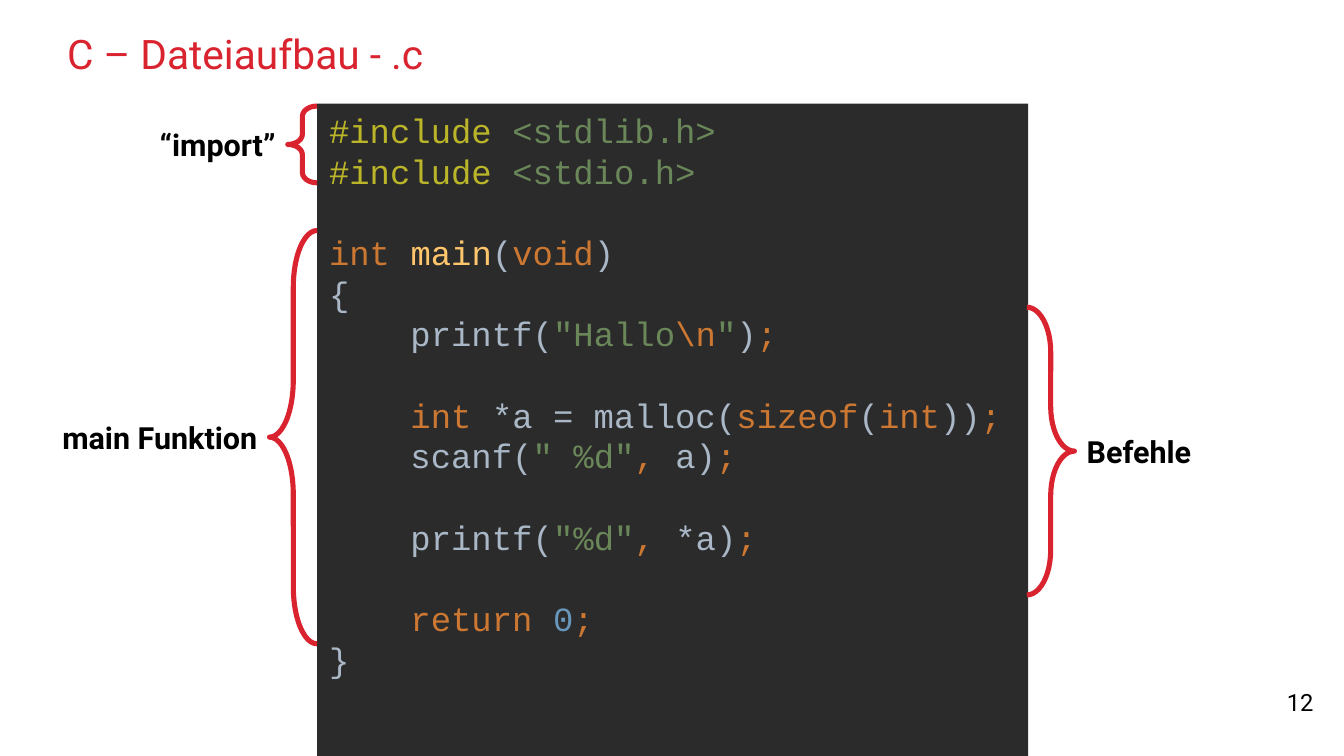
"""Build the slide on the structure of a C source file."""
from lxml.etree import SubElement
from pptx import Presentation
from pptx.dml.color import RGBColor
from pptx.enum.shapes import MSO_SHAPE
from pptx.enum.text import MSO_ANCHOR, PP_ALIGN
from pptx.oxml.ns import qn
from pptx.util import Inches, Pt

RED = RGBColor(0xD9, 0x23, 0x2F)
BLACK = RGBColor(0x00, 0x00, 0x00)
EDITOR = RGBColor(0x2B, 0x2B, 0x2B)
DIRECTIVE = RGBColor(0xBB, 0xB5, 0x29)
STRING = RGBColor(0x6A, 0x87, 0x59)
KEYWORD = RGBColor(0xCC, 0x78, 0x32)
FUNCTION = RGBColor(0xFF, 0xC6, 0x6D)
PLAIN = RGBColor(0xA9, 0xB7, 0xC6)
NUMBER = RGBColor(0x68, 0x97, 0xBB)


def add_run(paragraph, text, size, color, font="Roboto", bold=False):
    run = paragraph.add_run()
    run.text = text
    run.font.color.rgb = color
    for name, value in {"name": font, "size": Pt(size), "bold": bold}.items():
        setattr(run.font, name, value)


def add_label(text, left, top, width, height, size, color, align, bold=False):
    frame = slide.shapes.add_textbox(
        Inches(left), Inches(top), Inches(width), Inches(height)).text_frame
    layout = {"word_wrap": True, "vertical_anchor": MSO_ANCHOR.MIDDLE, "margin_left": 0,
              "margin_right": 0, "margin_top": 0, "margin_bottom": 0}
    for name, value in layout.items():
        setattr(frame, name, value)
    frame.paragraphs[0].alignment = align
    add_run(frame.paragraphs[0], text, size, color, bold=bold)


presentation = Presentation()
presentation.slide_width = Inches(11.02)
presentation.slide_height = Inches(6.2)
slide = presentation.slides.add_slide(presentation.slide_layouts[6])

add_label("12", 9.37, 5.61, 1.4, 0.29, 14, BLACK, PP_ALIGN.RIGHT)
add_label("C – Dateiaufbau - .c", 0.55, 0.25, 9.92, 0.38, 24, RED, PP_ALIGN.LEFT)

code_lines = [
    [("#include ", DIRECTIVE), ("<stdlib.h>", STRING)],
    [("#include ", DIRECTIVE), ("<stdio.h>", STRING)],
    [],
    [("int ", KEYWORD), ("main", FUNCTION), ("(", PLAIN), ("void", KEYWORD), (")", PLAIN)],
    [("{", PLAIN)],
    [("    printf(", PLAIN), ("\"Hallo", STRING), ("\\n", KEYWORD), ("\"", STRING),
     (")", PLAIN), (";", KEYWORD)],
    [],
    [("    int ", KEYWORD), ("*a = malloc(", PLAIN), ("sizeof", KEYWORD), ("(", PLAIN),
     ("int", KEYWORD), ("))", PLAIN), (";", KEYWORD)],
    [("    scanf(", PLAIN), ("\" %d\"", STRING), (", ", KEYWORD), ("a)", PLAIN), (";", KEYWORD)],
    [],
    [("    printf(", PLAIN), ("\"%d\"", STRING), (", ", KEYWORD), ("*a)", PLAIN), (";", KEYWORD)],
    [],
    [("    return ", KEYWORD), ("0", NUMBER), (";", KEYWORD)],
    [("}", PLAIN)],
]
editor = slide.shapes.add_shape(
    MSO_SHAPE.RECTANGLE, Inches(2.6), Inches(0.85), Inches(5.83), Inches(5.42))
editor.shadow.inherit = False
editor.fill.solid()
editor.fill.fore_color.rgb = EDITOR
editor.line.fill.background()
editor.text_frame.word_wrap = True
editor.text_frame.vertical_anchor = MSO_ANCHOR.TOP
code = editor.text_frame.paragraphs[0]
code.alignment = PP_ALIGN.LEFT
code.line_spacing = Pt(24)
for index, tokens in enumerate(code_lines):
    if index:
        code.add_line_break()
    for text, color in tokens:
        add_run(code, text, 20, color, "Courier New")
for line_break in code._p.findall(qn("a:br")):
    SubElement(line_break, qn("a:rPr"), sz="2000")

braces = [
    ("“import”", MSO_SHAPE.LEFT_BRACE, 2.36, 0.87, 0.24, 0.63, 0.35),
    ("Befehle", MSO_SHAPE.RIGHT_BRACE, 8.42, 2.52, 0.39, 2.36, 0.94),
    ("main Funktion", MSO_SHAPE.LEFT_BRACE, 2.21, 1.89, 0.39, 3.39, 1.2),
]
label_width, label_height, gap = 1.8, 0.4, 0.1
for text, kind, left, top, width, height, curve in braces:
    brace = slide.shapes.add_shape(kind, Inches(left), Inches(top), Inches(width), Inches(height))
    brace.shadow.inherit = False
    brace.adjustments[0] = curve
    brace.fill.background()
    brace.line.color.rgb = RED
    brace.line.width = Pt(3)
    if kind == MSO_SHAPE.LEFT_BRACE:
        label_left, align = left - gap - label_width, PP_ALIGN.RIGHT
    else:
        label_left, align = left + width + gap, PP_ALIGN.LEFT
    add_label(text, label_left, top + height / 2 - label_height / 2,
              label_width, label_height, 18, BLACK, align, True)

presentation.save("out.pptx")
